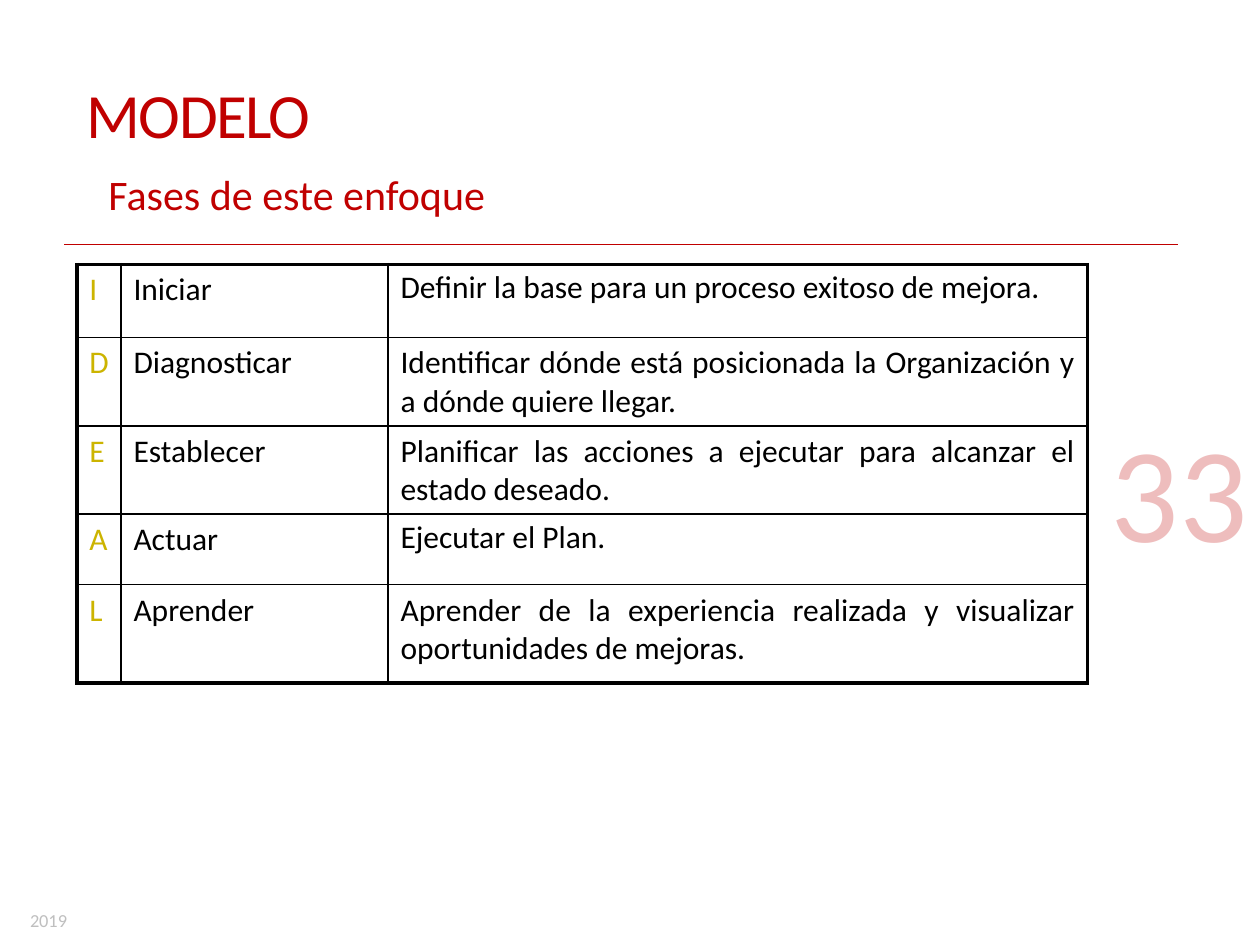
from lxml import etree
from pptx import Presentation
from pptx.dml.color import RGBColor
from pptx.enum.shapes import MSO_CONNECTOR
from pptx.enum.text import MSO_ANCHOR, MSO_AUTO_SIZE, PP_ALIGN
from pptx.oxml.ns import qn
from pptx.util import Inches, Pt

COLORS = {"red": "C00000", "gold": "CCB400", "black": "000000", "gray": "BFBFBF"}
FONT = "Calibri"
THIN, THICK = Pt(1), Pt(2.25)

COL_WIDTHS = [0.35, 2.12, 5.55]
ROW_HEIGHTS = [0.58, 0.69, 0.69, 0.56, 0.78]
# Letter, phase, purpose, line spacing of the purpose
PHASES = [
    ("I", "Iniciar", "Definir la base para un proceso exitoso de mejora.", 0.9),
    ("D", "Diagnosticar", "Identificar dónde está posicionada la Organización y a dónde quiere llegar.", 1.0),
    ("E", "Establecer", "Planificar las acciones a ejecutar para alcanzar el estado deseado.", 1.0),
    ("A", "Actuar", "Ejecutar el Plan.", 0.9),
    ("L", "Aprender", "Aprender de la experiencia realizada y visualizar oportunidades de mejoras.", 1.0),
]


def rgb(name):
    return RGBColor.from_string(COLORS[name])


def add_run(p, text, size, color):
    r = p.add_run()
    r.text = text
    r.font.name = FONT
    r.font.size = Pt(size)
    r.font.color.rgb = rgb(color)
    return r


def add_text(slide, box, text, size, color, wrap=True):
    """Add a one-line text box; return its frame, paragraph and run."""
    tf = slide.shapes.add_textbox(*(Inches(v) for v in box)).text_frame
    tf.word_wrap = wrap
    p = tf.paragraphs[0]
    return tf, p, add_run(p, text, size, color)


def add_heading(slide, left, top):
    tf, p, r = add_text(slide, (left, top, 2.14, 0.62), "MODELO", 36, "red", wrap=False)
    tf.auto_size = MSO_AUTO_SIZE.SHAPE_TO_FIT_TEXT
    p.line_spacing = 0.85
    r.font._element.set("spc", "-90")

    tf, p, r = add_text(slide, (left + 0.2, top + 0.67, 8.01, 0.46),
                        "Fases de este enfoque", 24, "red")
    tf.auto_size = MSO_AUTO_SIZE.SHAPE_TO_FIT_TEXT
    tf.margin_left = tf.margin_right = Inches(0.07)
    tf.margin_top = tf.margin_bottom = Inches(0.03)


def add_rule(slide, left, top, width):
    y = Inches(top)
    line = slide.shapes.add_connector(MSO_CONNECTOR.STRAIGHT, Inches(left), y,
                                      Inches(left + width), y)
    line.line.color.rgb = rgb("red")
    line.line.width = Pt(0.75)
    etree.SubElement(line._element.spPr, qn("a:effectLst"))


def set_borders(cell, widths):
    """Draw black borders; widths are for left, right, top and bottom."""
    tc_pr = cell._tc.get_or_add_tcPr()
    for i, (side, width) in enumerate(zip("LRTB", widths)):
        ln = etree.Element(qn(f"a:ln{side}"), w=str(width))
        fill = etree.SubElement(ln, qn("a:solidFill"))
        etree.SubElement(fill, qn("a:srgbClr"), val=COLORS["black"])
        tc_pr.insert(i, ln)


def add_phase_table(slide, left, top):
    n_rows, n_cols = len(PHASES), len(COL_WIDTHS)
    table = slide.shapes.add_table(
        n_rows, n_cols, Inches(left), Inches(top),
        Inches(sum(COL_WIDTHS)), Inches(sum(ROW_HEIGHTS))).table
    table.first_row = table.horz_banding = False
    for col, width in zip(table.columns, COL_WIDTHS):
        col.width = Inches(width)
    for i, (row, height, phase) in enumerate(zip(table.rows, ROW_HEIGHTS, PHASES)):
        row.height = Inches(height)
        *texts, spacing = phase
        for j, (cell, text) in enumerate(zip(row.cells, texts)):
            cell.fill.background()
            p = cell.text_frame.paragraphs[0]
            p.space_before = Pt(4.3)
            if j == n_cols - 1:
                p.alignment = PP_ALIGN.JUSTIFY
                p.line_spacing = spacing
            add_run(p, text, 18, "black" if j else "gold")
            on_edge = (j == 0, j == n_cols - 1, i == 0, i == n_rows - 1)
            set_borders(cell, [THICK if edge else THIN for edge in on_edge])


def add_footer(slide, left, top):
    add_text(slide, (left, top, 1.77, 0.23), "2019", 10.5, "gray")


def add_page_number(slide, left, top):
    tf, p, r = add_text(slide, (left, top, 2.4, 1.53), "33", 77.2, "red")
    tf.vertical_anchor = MSO_ANCHOR.BOTTOM
    p.alignment = PP_ALIGN.RIGHT
    color = r.font._element.find(".//" + qn("a:srgbClr"))
    etree.SubElement(color, qn("a:alpha"), val="25000")


def main():
    prs = Presentation()
    prs.slide_width, prs.slide_height = Inches(10), Inches(7.5)
    slide = prs.slides.add_slide(prs.slide_layouts[6])
    add_rule(slide, 0.51, 1.94, 8.84)
    add_heading(slide, 0.59, 0.64)
    add_phase_table(slide, 0.61, 2.1)
    add_footer(slide, 0.14, 7.17)
    add_page_number(slide, 7.6, 3.04)
    prs.save("out.pptx")


if __name__ == "__main__":
    main()
